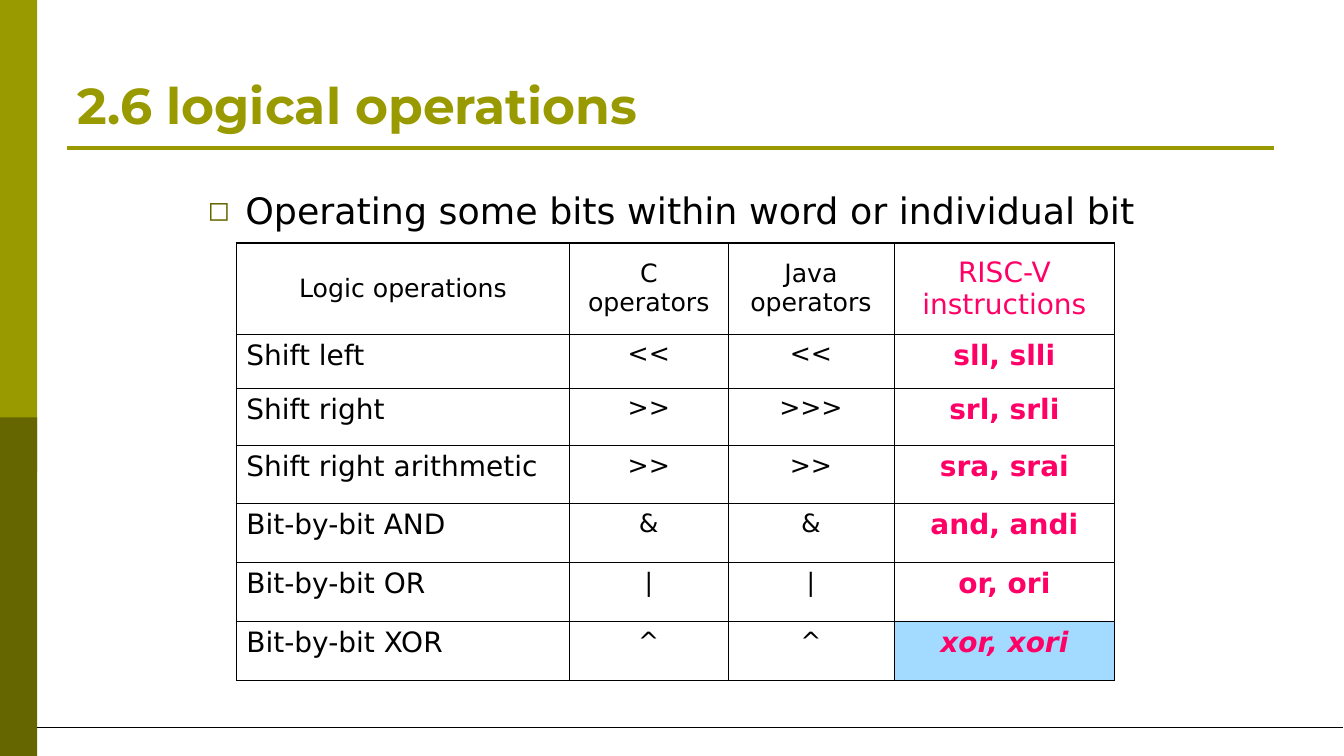
"""Build the slide on logical operations in C, Java and RISC-V."""
from lxml.etree import SubElement
from pptx import Presentation
from pptx.dml.color import RGBColor
from pptx.enum.shapes import MSO_CONNECTOR, MSO_SHAPE
from pptx.enum.text import MSO_ANCHOR, MSO_AUTO_SIZE, PP_ALIGN
from pptx.oxml.ns import qn
from pptx.util import Pt

BODY_FONT = "DejaVu Sans"
BLACK, OLIVE, DARK_OLIVE = "000000", "999900", "666600"
PINK, SKY = "FF0066", "A3DAFF"
COLUMN_WIDTHS = [238.3, 113, 118.8, 157.7]
ROW_HEIGHTS = [65.3, 38.8, 40.8, 41.4, 42.2, 42.2, 42.2]
ROWS = [
    ["Logic operations", "C operators", "Java operators", "RISC-V instructions"],
    ["Shift left", "<<", "<<", "sll, slli"],
    ["Shift right", ">>", ">>>", "srl, srli"],
    ["Shift right arithmetic", ">>", ">>", "sra, srai"],
    ["Bit-by-bit AND", "&", "&", "and, andi"],
    ["Bit-by-bit OR", "|", "|", "or, ori"],
    ["Bit-by-bit XOR", "^", "^", "xor, xori"],
]


def color(value):
    return RGBColor.from_string(value)


def format_text(p, size, rgb, name=BODY_FONT, bold=False, italic=False):
    for r in p.runs:
        r.font.name, r.font.size = name, Pt(size)
        r.font.bold, r.font.italic = bold, italic
        r.font.color.rgb = color(rgb)


def add_bar(slide, top, height, rgb):
    sp = slide.shapes.add_shape(MSO_SHAPE.RECTANGLE, 0, Pt(top), Pt(26.6), Pt(height))
    sp.shadow.inherit = False
    sp.fill.solid()
    sp.fill.fore_color.rgb = color(rgb)
    sp.line.fill.background()


def add_rule(slide, left, right, y, rgb, width):
    line = slide.shapes.add_connector(MSO_CONNECTOR.STRAIGHT, Pt(left), Pt(y), Pt(right), Pt(y))
    line.line.color.rgb = color(rgb)
    line.line.width = Pt(width)
    SubElement(line._element.spPr, qn("a:effectLst"))


def place(sp, left, top, width, height, anchor):
    sp.left, sp.top, sp.width, sp.height = Pt(left), Pt(top), Pt(width), Pt(height)
    tf = sp.text_frame
    tf.word_wrap, tf.auto_size, tf.vertical_anchor = True, MSO_AUTO_SIZE.NONE, anchor
    return tf


def fill_title(slide, text):
    tf = place(slide.shapes.title, 48.2, 21.6, 864, 77.8, MSO_ANCHOR.BOTTOM)
    tf.text = text
    tf.paragraphs[0].alignment = PP_ALIGN.LEFT
    format_text(tf.paragraphs[0], 36, OLIVE, "Montserrat", bold=True)


def fill_body(slide, text):
    tf = place(slide.placeholders[1], 141.1, 128.2, 697.7, 272.2, MSO_ANCHOR.TOP)
    tf.margin_top = Pt(6.4)
    tf.text = text
    p = tf.paragraphs[0]
    pPr = p._p.get_or_add_pPr()
    pPr.set("marL", str(Pt(27)))
    pPr.set("indent", str(-Pt(27)))
    SubElement(SubElement(pPr, qn("a:buClr")), qn("a:srgbClr"), val=DARK_OLIVE)
    SubElement(pPr, qn("a:buSzPct"), val="75000")
    SubElement(pPr, qn("a:buFont"), typeface=BODY_FONT)
    SubElement(pPr, qn("a:buChar"), char="◻")
    p.space_before = Pt(0)
    format_text(p, 26, BLACK)


def set_borders(cell, outer_sides):
    tcPr = cell._tc.get_or_add_tcPr()
    for side in "LRTB":
        width = Pt(1.08 if side in outer_sides else 0.45)
        ln = SubElement(tcPr, qn("a:ln" + side), w=str(width))
        SubElement(SubElement(ln, qn("a:solidFill")), qn("a:srgbClr"), val=BLACK)


def fill_cell(cell, text, row, col):
    header, last_row, last_col = row == 0, row == len(ROWS) - 1, col == 3
    edges = {"L": col == 0, "R": last_col, "T": header, "B": last_row}
    set_borders(cell, [side for side, outer in edges.items() if outer])
    if last_row and last_col:
        cell.fill.solid()
        cell.fill.fore_color.rgb = color(SKY)
    else:
        cell.fill.background()
    cell.vertical_anchor = MSO_ANCHOR.MIDDLE if header else MSO_ANCHOR.TOP
    cell.text_frame.text = text
    p = cell.text_frame.paragraphs[0]
    p.alignment = PP_ALIGN.CENTER if header or col else PP_ALIGN.LEFT
    large = last_col or (col == 0 and not header)
    format_text(p, 20 if large else 18, PINK if last_col else BLACK,
                bold=last_col and not header, italic=last_col and last_row)


def add_operations_table(slide):
    frame = slide.shapes.add_table(len(ROWS), len(COLUMN_WIDTHS), Pt(168.9), Pt(173.5),
                                   Pt(sum(COLUMN_WIDTHS)), Pt(sum(ROW_HEIGHTS)))
    table = frame.table
    table.first_row = table.horz_banding = False
    for column, width in zip(table.columns, COLUMN_WIDTHS):
        column.width = Pt(width)
    for i, (height, texts) in enumerate(zip(ROW_HEIGHTS, ROWS)):
        table.rows[i].height = Pt(height)
        for j, text in enumerate(texts):
            fill_cell(table.cell(i, j), text, i, j)


def main():
    prs = Presentation()
    prs.slide_width, prs.slide_height = Pt(960.5), Pt(540)
    slide = prs.slides.add_slide(prs.slide_layouts[1])
    add_bar(slide, 0, 337.7, OLIVE)
    add_bar(slide, 298.1, 241.9, DARK_OLIVE)
    add_rule(slide, 48.2, 910.8, 105.8, OLIVE, 3)
    add_rule(slide, 26.6, 960, 519.8, BLACK, 0.75)
    fill_title(slide, "2.6 logical operations")
    fill_body(slide, "Operating some bits within word or individual bit")
    add_operations_table(slide)
    prs.save("out.pptx")


if __name__ == "__main__":
    main()
